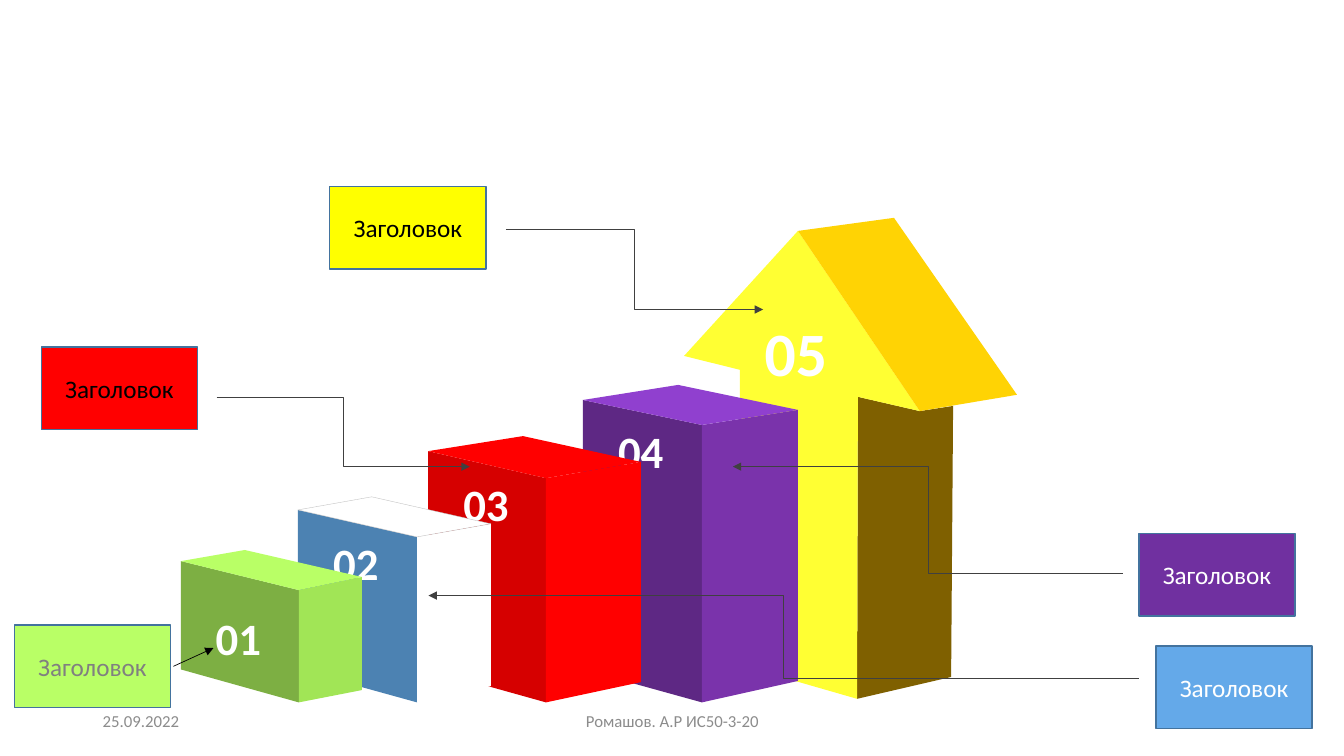
from lxml.etree import SubElement
from pptx import Presentation
from pptx.dml.color import RGBColor
from pptx.enum.shapes import MSO_CONNECTOR, MSO_SHAPE
from pptx.enum.text import MSO_ANCHOR, PP_ALIGN
from pptx.oxml.ns import qn
from pptx.util import Cm, Pt

WHITE = RGBColor(0xFF, 0xFF, 0xFF)
BLACK = RGBColor(0x00, 0x00, 0x00)
GRAY = RGBColor(0x80, 0x80, 0x80)
FOOTER_GRAY = RGBColor(0x8C, 0x8C, 0x8C)
EDGE_GRAY = RGBColor(0xBF, 0xBF, 0xBF)
LINE_GRAY = RGBColor(0x40, 0x40, 0x40)
BORDER_BLUE = RGBColor(0x43, 0x73, 0x9E)
YELLOW = RGBColor(0xFF, 0xFF, 0x00)
ARROW_FRONT = RGBColor(0xFF, 0xFF, 0x33)
ARROW_ROOF = RGBColor(0xFF, 0xD3, 0x04)
ARROW_SIDE = RGBColor(0x7F, 0x60, 0x00)
PURPLE = RGBColor(0x70, 0x30, 0xA0)
PURPLE_FRONT = RGBColor(0x5E, 0x28, 0x84)
PURPLE_TOP = RGBColor(0x90, 0x40, 0xCF)
PURPLE_SIDE = RGBColor(0x7A, 0x33, 0xAB)
RED = RGBColor(0xFF, 0x00, 0x00)
RED_FRONT = RGBColor(0xD6, 0x00, 0x00)
BLUE = RGBColor(0x64, 0xA9, 0xE9)
BLUE_FRONT = RGBColor(0x4C, 0x82, 0xB2)
LIME = RGBColor(0xB9, 0xFF, 0x66)
GREEN_FRONT = RGBColor(0x7D, 0xAF, 0x43)
GREEN_SIDE = RGBColor(0xA1, 0xE5, 0x56)

# Content, all positions in cm
ARROW_FACES = [
    (ARROW_SIDE, [(21.62, 10), (23.18, 10.36), (24.02, 10.23), (23.97, 17.06), (21.6, 17.61)]),
    (ARROW_FRONT, [(20.11, 5.82), (23.18, 10.36), (21.62, 10), (21.6, 17.61),
                   (18.65, 16.76), (18.65, 9.32), (17.24, 8.97)]),
    (ARROW_ROOF, [(20.11, 5.82), (22.53, 5.49), (25.63, 9.95), (23.18, 10.36)]),
]
ARROW_NUMBER = ("05", 20.06, 8.87, 44)

# number, its centre, left / back / right / front top corners, right bottom, colours, top edge
BLOCKS = [
    ("04", (16.15, 11.36), [(14.69, 10.08), (17.09, 9.7), (20.11, 10.33), (17.69, 10.71)],
     17.16, (PURPLE_FRONT, PURPLE_SIDE, PURPLE_TOP), None),
    ("03", (12.25, 12.68), [(10.79, 11.37), (13.18, 10.99), (16.15, 11.64), (13.76, 12.05)],
     17.19, (RED_FRONT, RED, RED), None),
    ("02", (8.97, 14.18), [(7.51, 12.85), (9.37, 12.52), (12.37, 13.2), (10.51, 13.53)],
     17.29, (BLUE_FRONT, WHITE, WHITE), EDGE_GRAY),
    ("01", (6.01, 16.06), [(4.56, 14.14), (6.17, 13.86), (9.12, 14.54), (7.53, 14.87)],
     17.39, (GREEN_FRONT, GREEN_SIDE, LIME), None),
]
LEFT_BOTTOM, FRONT_BOTTOM = 16.87, 17.7

LABEL_TEXT = "Заголовок"
LABEL_SIZE = (3.94, 2.08)
# left, top, fill, text colour, pointer start, pointer end
LABELS = [
    (8.31, 4.7, YELLOW, BLACK, (12.75, 5.77), (19.23, 7.8)),
    (28.7, 13.44, PURPLE, WHITE, (28.3, 14.45), (18.47, 11.76)),
    (1.04, 8.74, RED, BLACK, (5.46, 10.01), (11.84, 11.76)),
    (29.13, 16.28, BLUE, WHITE, (28.7, 17.09), (10.8, 15.01)),
    (0.36, 15.75, LIME, GRAY, (4.37, 16.79), (5.38, 16.33)),
]
FOOTERS = [
    ("25.09.2022", 2.34, 7.62, PP_ALIGN.LEFT),
    ("Ромашов. А.Р ИС50-3-20", 11.23, 11.43, PP_ALIGN.CENTER),
]

presentation = Presentation()
presentation.slide_width, presentation.slide_height = Cm(33.87), Cm(19.05)
slide = presentation.slides.add_slide(presentation.slide_layouts[6])
shapes = slide.shapes


def write(holder, words, align=PP_ALIGN.CENTER, **font_format):
    frame = holder.text_frame
    frame.word_wrap = True
    frame.vertical_anchor = MSO_ANCHOR.MIDDLE
    paragraph = frame.paragraphs[0]
    paragraph.alignment = align
    run = paragraph.add_run()
    run.text = words
    color = font_format.pop("color")
    for attribute, value in {"name": "Calibri", **font_format}.items():
        setattr(run.font, attribute, value)
    run.font.color.rgb = color


def paint(part, fill, edge=None, width=1):
    part.shadow.inherit = False
    part.fill.solid()
    part.fill.fore_color.rgb = fill
    if edge is None:
        part.line.fill.background()
    else:
        part.line.color.rgb = edge
        part.line.width = Pt(width)


def add_face(corners, fill, edge=None):
    (x, y), *others = [(Cm(x), Cm(y)) for x, y in corners]
    builder = shapes.build_freeform(x, y)
    builder.add_line_segments(others, close=True)
    paint(builder.convert_to_shape(), fill, edge, 0.25)


def add_number(words, x, y, size):
    width, height = 4.6, 2.2
    number = shapes.add_textbox(Cm(x - width / 2), Cm(y - height / 2), Cm(width), Cm(height))
    write(number, words, size=Pt(size), bold=True, color=WHITE)


def add_pointer(start, end, kind, color):
    pointer = shapes.add_connector(kind, *(Cm(v) for v in (*start, *end)))
    pointer.line.color.rgb = color
    pointer.line.width = Pt(0.5)
    SubElement(pointer.line._get_or_add_ln(), qn("a:tailEnd"), type="triangle")
    SubElement(pointer._element.spPr, qn("a:effectLst"))


# Tall arrow at the back
for fill, corners in ARROW_FACES:
    add_face(corners, fill)
add_number(*ARROW_NUMBER)

# Blocks, from back to front
for words, centre, top, right_bottom, colors, edge in BLOCKS:
    left, back, right, front = top
    front_foot = (front[0], FRONT_BOTTOM)
    front_fill, side_fill, top_fill = colors
    add_face([left, front, front_foot, (left[0], LEFT_BOTTOM)], front_fill)
    add_face([front, right, (right[0], right_bottom), front_foot], side_fill)
    add_face(top, top_fill, edge)
    add_number(words, *centre, 32)

# Footer
for words, left, width, align in FOOTERS:
    footer = shapes.add_textbox(Cm(left), Cm(17.65), Cm(width), Cm(1.02))
    write(footer, words, align, size=Pt(12), color=FOOTER_GRAY)

# Labels and their pointers
for left, top, fill, text_color, start, end in LABELS:
    short = abs(end[0] - start[0]) < 2
    kind = MSO_CONNECTOR.STRAIGHT if short else MSO_CONNECTOR.ELBOW
    add_pointer(start, end, kind, BLACK if short else LINE_GRAY)
    label = shapes.add_shape(MSO_SHAPE.RECTANGLE, Cm(left), Cm(top), *map(Cm, LABEL_SIZE))
    paint(label, fill, BORDER_BLUE)
    write(label, LABEL_TEXT, size=Pt(18), color=text_color)

presentation.save("out.pptx")
